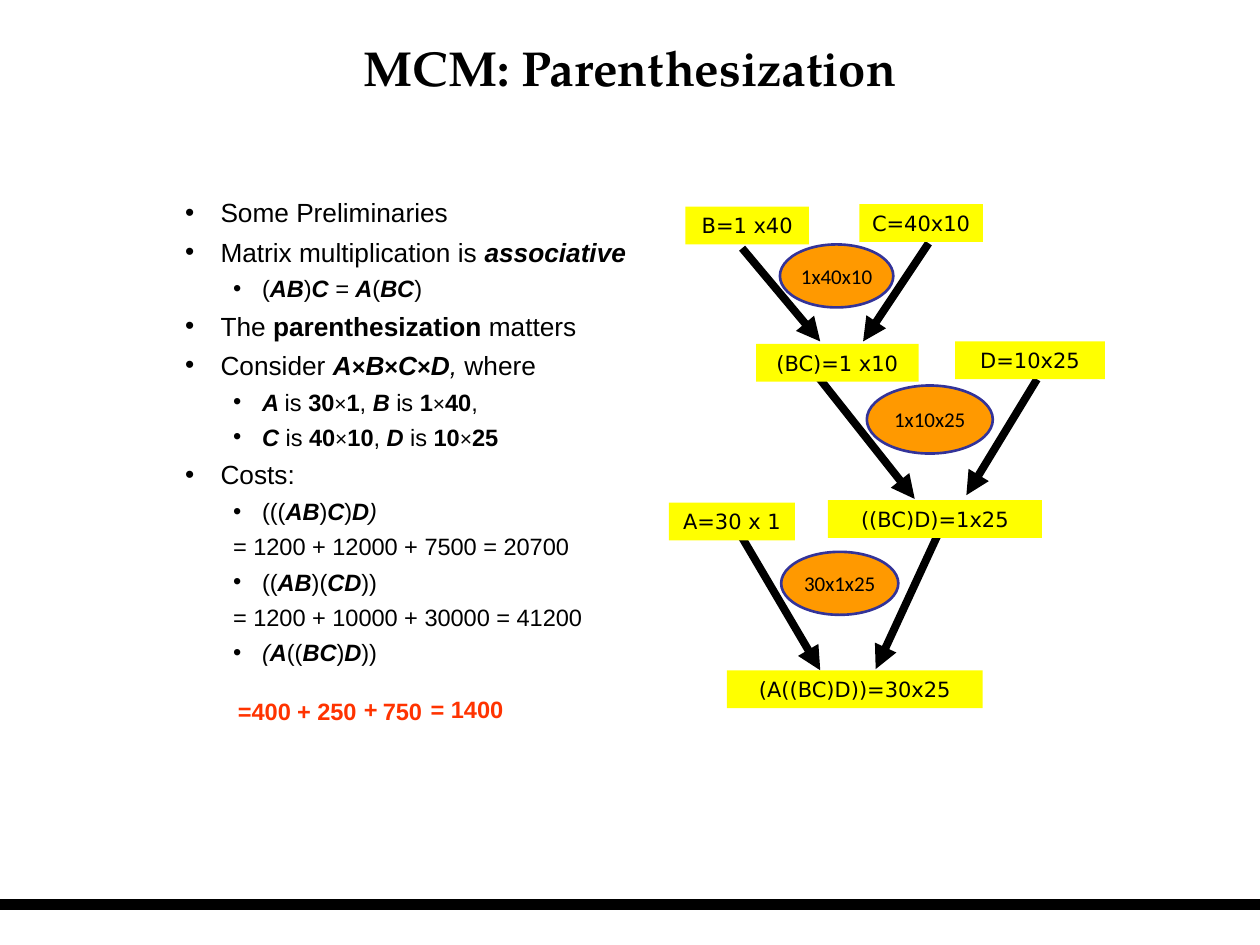
from pptx import Presentation
from pptx.dml.color import RGBColor
from pptx.enum.shapes import MSO_CONNECTOR, MSO_SHAPE
from pptx.enum.text import MSO_ANCHOR, MSO_AUTO_SIZE, PP_ALIGN
from pptx.oxml.ns import qn
from pptx.util import Inches, Pt
from lxml.etree import SubElement

BLACK = RGBColor(0x00, 0x00, 0x00)
YELLOW = RGBColor(0xFF, 0xFF, 0x00)
ORANGE = RGBColor(0xFF, 0x99, 0x00)
NAVY = RGBColor(0x33, 0x33, 0x99)
RED = RGBColor(0xFF, 0x33, 0x00)

TITLE = "MCM: Parenthesization"

# Per level: text size, left margin, hanging indent, space before
LEVELS = [(15, 0.28, -0.28, 7.9), (13.5, 0.61, -0.23, 7.2)]

# (level, bulleted, [(text, style letters)]): b is bold, i is italic
OUTLINE = [
    (0, True, [("Some Preliminaries", "")]),
    (0, True, [("Matrix multiplication is ", ""), ("associative", "bi")]),
    (1, True, [("(", ""), ("AB", "bi"), (")", ""), ("C", "bi"), (" = ", "i"),
               ("A", "bi"), ("(", ""), ("BC", "bi"), (")", "")]),
    (0, True, [("The ", ""), ("parenthesization", "b"), (" matters", "")]),
    (0, True, [("Consider ", ""), ("A", "bi"), ("×", "b"), ("B", "bi"), ("×", "b"),
               ("C", "bi"), ("×", "b"), ("D", "bi"), (", ", "i"), ("where", "")]),
    (1, True, [("A ", "bi"), ("is ", ""), ("30", "b"), ("×", ""), ("1", "b"), (", ", ""),
               ("B ", "bi"), ("is ", ""), ("1", "b"), ("×", ""), ("40", "b"), (",", "")]),
    (1, True, [("C ", "bi"), ("is ", ""), ("40", "b"), ("×", ""), ("10", "b"), (", ", ""),
               ("D ", "bi"), ("is ", ""), ("10", "b"), ("×", ""), ("25", "b")]),
    (0, True, [("Costs:", "")]),
    (1, True, [("(((", ""), ("AB", "bi"), (")", ""), ("C", "bi"), (")", ""),
               ("D", "bi"), (")", "i")]),
    (1, False, [("= 1200 + 12000 + 7500 = 20700", "")]),
    (1, True, [("((", ""), ("AB", "bi"), (")(", ""), ("CD", "bi"), ("))", "")]),
    (1, False, [("= 1200 + 10000 + 30000 = 41200", "")]),
    (1, True, [("(", "i"), ("A", "bi"), ("((", ""), ("BC", "bi"), (")", ""),
               ("D", "bi"), ("))", "")]),
]

# Matrices: text, left, top, width
MATRIX_HEIGHT = 0.3
MATRICES = [
    ("B=1 x40", 5.44, 1.64, 0.98),
    ("C=40x10", 6.82, 1.62, 0.98),
    ("(BC)=1 x10", 6, 2.73, 1.29),
    ("D=10x25", 7.58, 2.71, 1.19),
    ("A=30 x 1", 5.31, 3.99, 1),
    ("((BC)D)=1x25", 6.57, 3.97, 1.7),
    ("(A((BC)D))=30x25", 5.77, 5.32, 2.03),
]
# Costs of the products: text, left, top, width, height
COSTS = [
    ("1x40x10", 6.19, 1.94, 0.9, 0.5),
    ("1x10x25", 6.88, 3.06, 1, 0.54),
    ("30x1x25", 6.2, 4.38, 0.93, 0.5),
]
# Arrows from factor to product: start x, start y, end x, end y
ARROWS = [
    (5.89, 1.97, 6.51, 2.71), (7.37, 1.93, 6.85, 2.71),
    (6.5, 3, 7.26, 3.96), (8.23, 3.01, 7.67, 3.93),
    (5.88, 4.25, 6.51, 5.32), (7.44, 4.25, 6.95, 5.31),
]
# Terms of the best cost: text, left, top, width
TERMS = [
    ("=400", 1.79, 5.48, 0.69), ("+", 2.26, 5.48, 0.25), ("250", 2.42, 5.48, 0.69),
    ("+", 2.79, 5.47, 0.25), ("750", 2.94, 5.48, 0.69), ("= 1400", 3.32, 5.47, 1),
]


def place(shape, *bounds):
    shape.left, shape.top, shape.width, shape.height = map(Inches, bounds)


def add_span(para, text, font, size, color=BLACK, style=""):
    span = para.add_run()
    span.text = text
    span.font.name, span.font.size = font, Pt(size)
    span.font.color.rgb = color
    span.font.bold, span.font.italic = "b" in style, "i" in style


def add_line(slide, start_x, start_y, end_x, end_y, width, arrow=False):
    line = slide.shapes.add_connector(
        MSO_CONNECTOR.STRAIGHT, *map(Inches, (start_x, start_y, end_x, end_y)))
    line.line.color.rgb = BLACK
    line.line.width = Pt(width)
    if arrow:
        SubElement(line.line._get_or_add_ln(), qn("a:tailEnd"), type="triangle")
    SubElement(line._element.spPr, qn("a:effectLst"))


def add_label(slide, kind, text, bounds, fill, font):
    shape = slide.shapes.add_shape(kind, *map(Inches, bounds))
    shape.shadow.inherit = False
    shape.fill.solid()
    shape.fill.fore_color.rgb = fill
    shape.line.fill.background()
    para = shape.text_frame.paragraphs[0]
    para.alignment = PP_ALIGN.CENTER
    add_span(para, text, font, 12)
    return shape


def add_outline(body):
    frame = body.text_frame
    frame.auto_size = MSO_AUTO_SIZE.NONE
    for number, (level, bulleted, spans) in enumerate(OUTLINE):
        size, margin, indent, space = LEVELS[level]
        para = frame.add_paragraph() if number else frame.paragraphs[0]
        para.level = level
        para.line_spacing = 0.8
        para.space_before = Pt(space)
        props = para._p.get_or_add_pPr()
        props.set("marL", str(Inches(margin)))
        props.set("indent", str(Inches(indent)))
        if bulleted:
            SubElement(props, qn("a:buFont"), typeface="Arial")
            SubElement(props, qn("a:buChar"), char="•")
        else:
            SubElement(props, qn("a:buNone"))
        for text, style in spans:
            smaller = 1.5 if text == "×" else 0
            add_span(para, text, "Arial", size - smaller, style=style)


def main():
    deck = Presentation()
    deck.slide_width, deck.slide_height = Inches(10), Inches(7.5)
    slide = deck.slides.add_slide(deck.slide_layouts[1])
    title, body = slide.placeholders

    add_line(slide, 0, 7.18, 10, 7.18, 6)

    place(title, 0.05, 0.07, 9.9, 0.92)
    title.text_frame.auto_size = MSO_AUTO_SIZE.NONE
    title.text_frame.vertical_anchor = MSO_ANCHOR.MIDDLE
    heading = title.text_frame.paragraphs[0]
    heading.alignment = PP_ALIGN.CENTER
    add_span(heading, TITLE, "TeX Gyre Pagella", 28, style="b")

    place(body, 1.37, 1.56, 3.75, 4.66)
    add_outline(body)

    for arrow in ARROWS:
        add_line(slide, *arrow, 4.5, arrow=True)
    for text, *bounds in COSTS:
        oval = add_label(slide, MSO_SHAPE.OVAL, text, bounds, ORANGE, "Calibri")
        oval.line.color.rgb = NAVY
        oval.line.width = Pt(1.5)
        oval.text_frame.word_wrap = False
        oval.text_frame.vertical_anchor = MSO_ANCHOR.MIDDLE
    for text, *bounds in MATRICES:
        box = add_label(slide, MSO_SHAPE.RECTANGLE, text, (*bounds, MATRIX_HEIGHT),
                        YELLOW, "DejaVu Sans")
        box.text_frame.vertical_anchor = MSO_ANCHOR.TOP
    for text, *bounds in TERMS:
        box = slide.shapes.add_textbox(*map(Inches, (*bounds, 0.33)))
        box.text_frame.word_wrap = True
        add_span(box.text_frame.paragraphs[0], text, "Arial", 13.5, RED, "b")

    deck.save("out.pptx")


if __name__ == "__main__":
    main()
